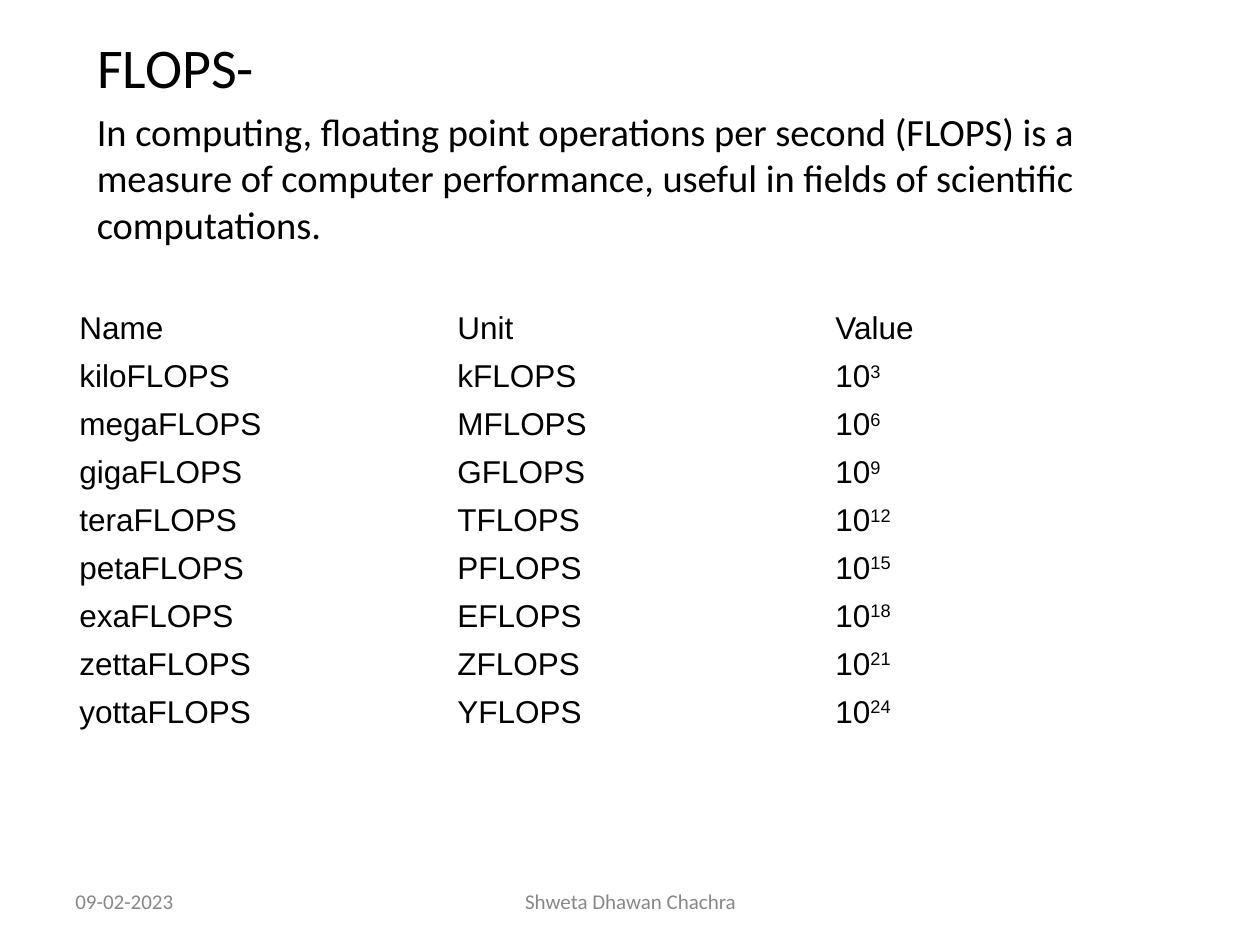
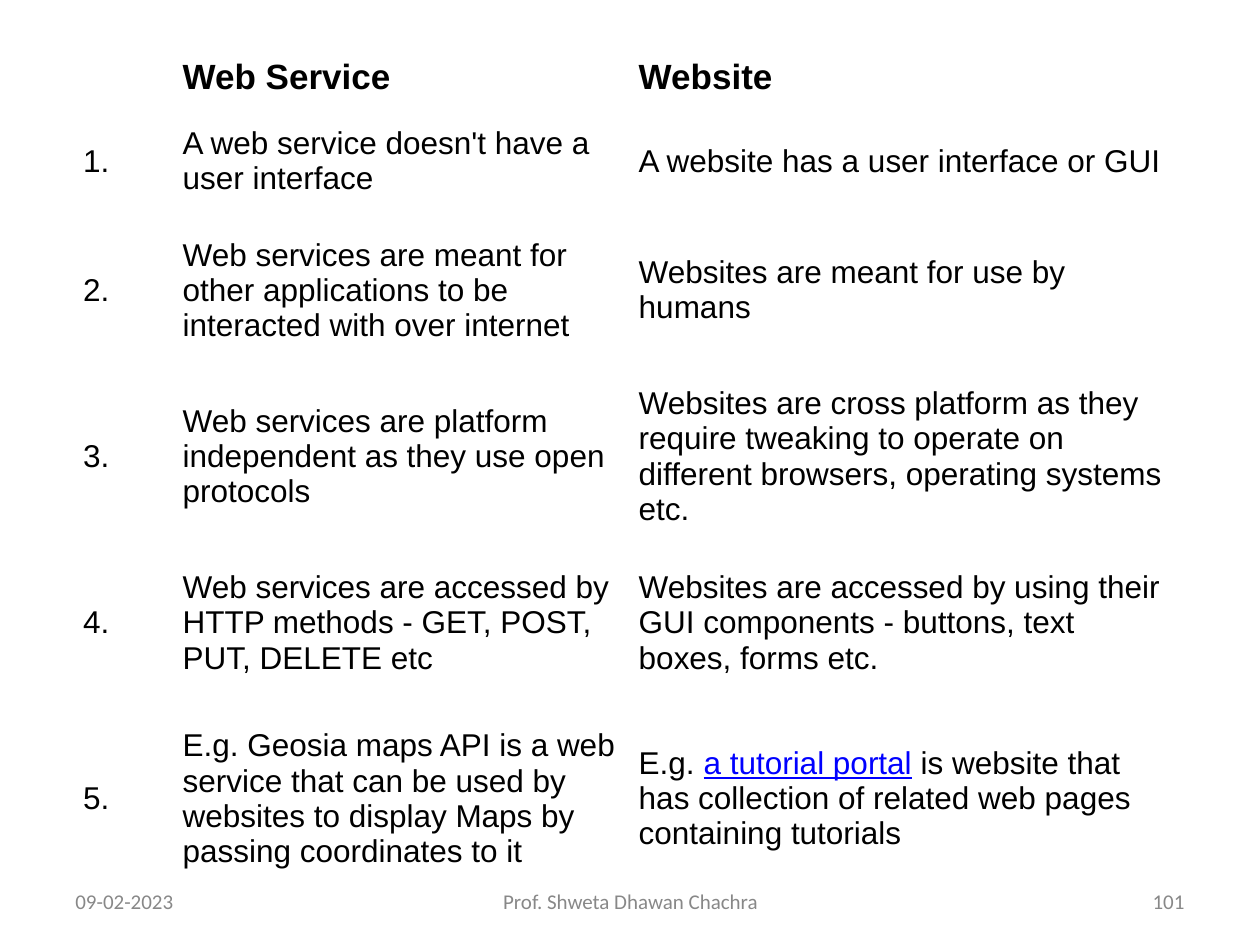
from dataclasses import dataclass

from pptx import Presentation
from pptx.dml.color import RGBColor
from pptx.enum.text import MSO_ANCHOR, MSO_AUTO_SIZE, PP_ALIGN
from pptx.util import Inches, Pt

LEFT, CENTER, RIGHT = PP_ALIGN.LEFT, PP_ALIGN.CENTER, PP_ALIGN.RIGHT
TOP, MIDDLE = MSO_ANCHOR.TOP, MSO_ANCHOR.MIDDLE
NO_AUTOFIT = MSO_AUTO_SIZE.NONE
TITLE_ONLY, BLANK = 5, 6


@dataclass(frozen=True)
class Theme:
    text_font: str = "Calibri"
    table_font: str = "Arial"
    ink: RGBColor = RGBColor(0x00, 0x00, 0x00)
    muted: RGBColor = RGBColor(0x88, 0x88, 0x88)
    link: RGBColor = RGBColor(0x00, 0x00, 0xFF)
    title_size: int = 32
    body_size: int = 22
    header_size: int = 20
    cell_size: int = 18
    footer_size: int = 12


THEME = Theme()

# Content
PREFIXES = ["kilo", "mega", "giga", "tera", "peta", "exa", "zetta", "yotta"]

COMPARISON = [
    ("A web service doesn't have a user interface",
     "A website has a user interface or GUI"),
    ("Web services are meant for other applications to be interacted with "
     "over internet",
     "Websites are meant for use by humans"),
    ("Web services are platform independent as they use open protocols",
     "Websites are cross platform as they require tweaking to operate on "
     "different browsers, operating systems etc."),
    ("Web services are accessed by HTTP methods - GET, POST, PUT, DELETE etc",
     "Websites are accessed by using their GUI components - buttons, text "
     "boxes, forms etc."),
    ("E.g. Geosia maps API is a web service that can be used by websites to "
     "display Maps by passing coordinates to it",
     [("E.g. ", None), ("a tutorial portal", "link"),
      (" is website that has collection of related web pages containing "
       "tutorials", None)]),
]


# Text helpers
def style_paragraph(paragraph, font_name, size, color=THEME.ink, bold=False,
                    align=LEFT):
    paragraph.alignment = align
    font = paragraph.font
    font.name, font.size, font.bold = font_name, Pt(size), bold
    font.color.rgb = color


def add_runs(paragraph, content):
    """Fill a paragraph from a string or a list of (text, role) pairs."""
    pieces = [(content, None)] if isinstance(content, str) else content
    for text, role in pieces:
        run = paragraph.add_run()
        run.text = text
        if role == "superscript":
            run._r.get_or_add_rPr().set("baseline", "30000")
        elif role == "link":
            run.font.color.rgb = THEME.link
            run.font.underline = True


def fill_frame(shape, text, size, color=THEME.ink, align=LEFT, anchor=TOP):
    frame = shape.text_frame
    frame.word_wrap = True
    frame.auto_size = NO_AUTOFIT
    frame.vertical_anchor = anchor
    paragraph = frame.paragraphs[0]
    add_runs(paragraph, text)
    style_paragraph(paragraph, THEME.text_font, size, color, align=align)


# Slide elements
def add_text(slide, box, text, size, **style):
    shape = slide.shapes.add_textbox(*map(Inches, box))
    fill_frame(shape, text, size, **style)


def set_title(slide, box, text):
    title = slide.shapes.title
    title.left, title.top, title.width, title.height = map(Inches, box)
    fill_frame(title, text, THEME.title_size)


def add_footer(slide, author, number=None):
    parts = [(0.5, 2.33, "09-02-2023", LEFT), (3.42, 3.17, author, CENTER)]
    if number:
        parts.append((7.17, 2.33, number, RIGHT))
    for left, width, text, align in parts:
        add_text(slide, (left, 6.95, width, 0.4), text, THEME.footer_size,
                 color=THEME.muted, align=align, anchor=MIDDLE)


def add_plain_table(slide, left, top, widths, heights, rows, margins,
                    bold_header=False):
    frame = slide.shapes.add_table(
        len(rows), len(widths), Inches(left), Inches(top),
        Inches(sum(widths)), Inches(sum(heights)))
    table = frame.table
    table.first_row = table.horz_banding = False
    for column, width in zip(table.columns, widths):
        column.width = Inches(width)
    for row, height in zip(table.rows, heights):
        row.height = Inches(height)

    side, edge = map(Inches, margins)
    for row_index, row in enumerate(rows):
        header = bold_header and row_index == 0
        size = THEME.header_size if header else THEME.cell_size
        for column_index, content in enumerate(row):
            cell = table.cell(row_index, column_index)
            cell.fill.background()
            cell.vertical_anchor = MIDDLE
            cell.margin_left = cell.margin_right = side
            cell.margin_top = cell.margin_bottom = edge
            paragraph = cell.text_frame.paragraphs[0]
            if content:
                add_runs(paragraph, content)
            style_paragraph(paragraph, THEME.table_font, size, bold=header)


# Slides
def build_flops_slide(presentation):
    slide = presentation.slides.add_slide(
        presentation.slide_layouts[TITLE_ONLY])
    rows = [("Name", "Unit", "Value")]
    for step, prefix in enumerate(PREFIXES, start=1):
        letter = "k" if prefix == "kilo" else prefix[0].upper()
        value = [("10", None), (str(3 * step), "superscript")]
        rows.append((f"{prefix}FLOPS", f"{letter}FLOPS", value))
    add_plain_table(slide, 0.53, 2.42, [3] * 3, [0.38] * len(rows), rows,
                    margins=(0.1, 0.05))
    set_title(slide, (0.67, 0.21, 9, 0.6), "FLOPS-")
    add_text(slide, (0.67, 0.81, 9, 1.3),
             "In computing, floating point operations per second (FLOPS) is a "
             "measure of computer performance, useful in fields of scientific "
             "computations.", THEME.body_size)
    add_footer(slide, "Shweta Dhawan Chachra")


def build_comparison_slide(presentation):
    slide = presentation.slides.add_slide(presentation.slide_layouts[BLANK])
    rows = [("", "Web Service", "Website")]
    rows += [(f"{number}.", *pair)
             for number, pair in enumerate(COMPARISON, start=1)]
    add_plain_table(slide, 0.59, 0.36, [0.79, 3.62, 4.33],
                    [0.5, 0.84, 1.21, 1.43, 1.21, 1.58], rows,
                    margins=(0.07, 0.04), bold_header=True)
    add_footer(slide, "Prof. Shweta Dhawan Chachra", "101")


def main():
    presentation = Presentation()
    presentation.slide_width = Inches(10)
    presentation.slide_height = Inches(7.5)
    build_flops_slide(presentation)
    build_comparison_slide(presentation)
    presentation.save("out.pptx")


if __name__ == "__main__":
    main()
